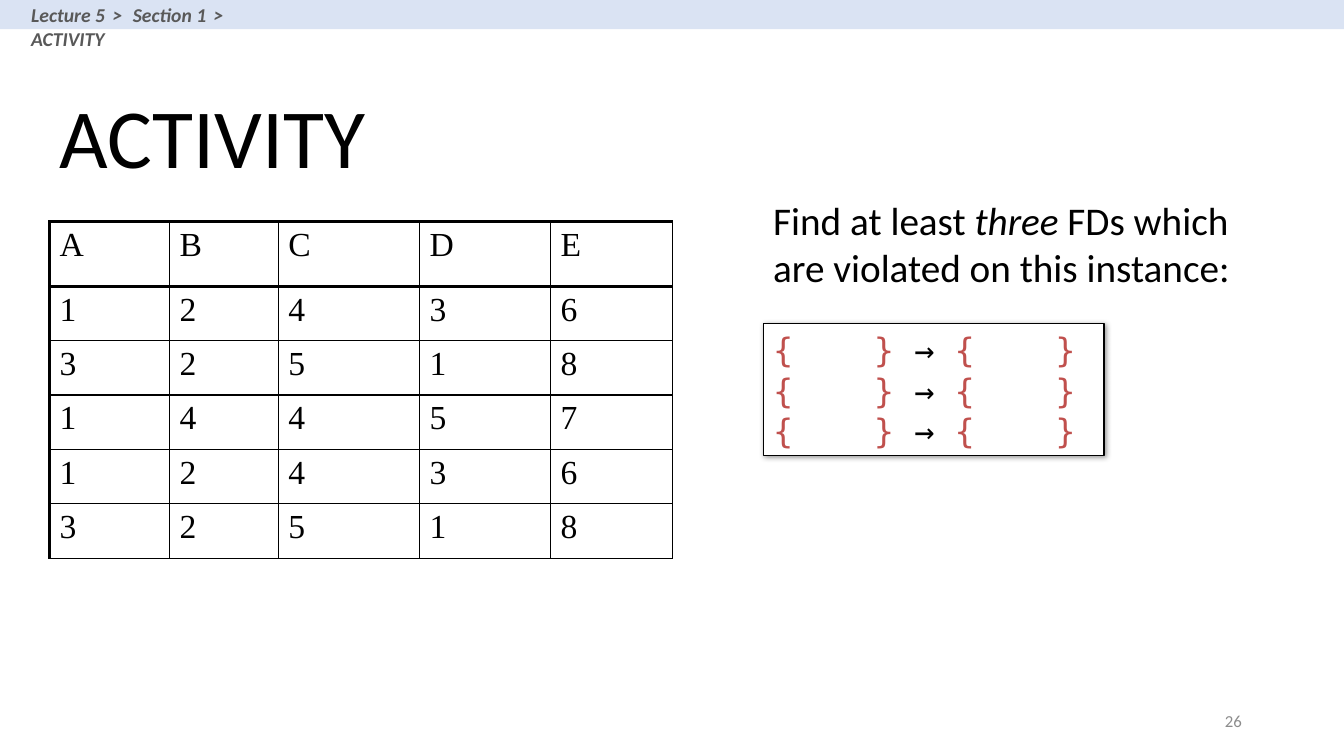
from dataclasses import dataclass

from lxml import etree
from pptx import Presentation
from pptx.dml.color import RGBColor
from pptx.enum.shapes import MSO_SHAPE
from pptx.enum.text import MSO_ANCHOR, PP_ALIGN
from pptx.oxml import parse_xml
from pptx.oxml.ns import nsdecls, qn
from pptx.util import Emu, Inches, Pt


@dataclass(frozen=True)
class Theme:
    body_font: str = "Calibri"
    table_font: str = "Times New Roman"
    code_font: str = "DejaVu Sans Mono"
    ink: str = "000000"
    paper: str = "FFFFFF"
    band: str = "DAE3F3"
    crumb: str = "595959"
    muted: str = "8C8C8C"
    brace: str = "C0504D"
    title_size: float = 60
    prompt_size: float = 28
    grid_size: float = 24
    crumb_size: float = 14
    number_size: float = 12
    heavy_line: float = 2.25
    thin_line: float = 1
    frame_line: float = 0.75


@dataclass(frozen=True)
class Box:
    left: float
    top: float
    width: float
    height: float


@dataclass(frozen=True)
class Style:
    size: float
    color: str = "000000"
    font: str = "Calibri"
    bold: bool = False
    italic: bool = False
    tracking: float = 0


THEME = Theme()
SLIDE_WIDTH, SLIDE_HEIGHT = Inches(13.33), Inches(7.5)

TITLE = Box(3.68, 10.27, 86.25, 15.07)
NUMBER = Box(70.65, 92.67, 22.5, 5.33)
BAND = Box(0, 0, 100, 3.87)
BREADCRUMB = Box(1.58, -0.27, 19.5, 4.53)
INSTANCE = Box(3.68, 29.33, 46.36, 44.53)
PROMPT = Box(56.79, 25.33, 37.96, 13.87)
ANSWERS = Box(56.79, 42.8, 25.36, 17.47)

COLUMN_SHARES = (8.93, 8.1, 10.5, 9.75, 9.08)
ROW_SHARES = (8.53,) + (7.2,) * 5
INSTANCE_ROWS = ("ABCDE", "12436", "32518", "14457", "12436", "32518")
ANSWER_COUNT = 3
CODE_ADVANCE = Inches(0.2)
TAB_COLUMNS = (5, 9, 14)


def across(share: float) -> Emu:
    return Emu(round(SLIDE_WIDTH * share / 100))


def down(share: float) -> Emu:
    return Emu(round(SLIDE_HEIGHT * share / 100))


def place(box: Box) -> tuple:
    return across(box.left), down(box.top), across(box.width), down(box.height)


def add_run(paragraph, text: str, style: Style) -> None:
    run = paragraph.add_run()
    run.text = text
    font = run.font
    font.name, font.size = style.font, Pt(style.size)
    font.bold, font.italic = style.bold, style.italic
    font.color.rgb = RGBColor.from_string(style.color)
    if style.tracking:
        run._r.get_or_add_rPr().set("spc", str(round(style.tracking * 100)))


def add_text(slide, box: Box, runs: list, anchor=MSO_ANCHOR.TOP, align=PP_ALIGN.LEFT):
    frame = slide.shapes.add_textbox(*place(box)).text_frame
    frame.word_wrap = True
    frame.vertical_anchor = anchor
    paragraph = frame.paragraphs[0]
    paragraph.alignment = align
    for text, style in runs:
        add_run(paragraph, text, style)
    return paragraph


def add_rectangle(slide, box: Box, fill: str):
    shape = slide.shapes.add_shape(MSO_SHAPE.RECTANGLE, *place(box))
    shape.shadow.inherit = False
    shape.fill.solid()
    shape.fill.fore_color.rgb = RGBColor.from_string(fill)
    shape.line.fill.background()
    return shape


def set_border(cell, side: str, width: float) -> None:
    cell._tc.get_or_add_tcPr().append(parse_xml(
        f'<a:ln{side} {nsdecls("a")} w="{Pt(width)}"><a:solidFill>'
        f'<a:srgbClr val="{THEME.ink}"/></a:solidFill></a:ln{side}>'))


def add_instance(slide) -> None:
    table = slide.shapes.add_table(
        len(ROW_SHARES), len(COLUMN_SHARES), *place(INSTANCE)).table
    table.first_row = table.horz_banding = False
    for column, share in zip(table.columns, COLUMN_SHARES):
        column.width = across(share)
    for row, share in zip(table.rows, ROW_SHARES):
        row.height = down(share)
    style = Style(THEME.grid_size, THEME.ink, THEME.table_font)
    for r, values in enumerate(INSTANCE_ROWS):
        for c, value in enumerate(values):
            cell = table.cell(r, c)
            add_run(cell.text_frame.paragraphs[0], value, style)
            heavy = {"L": c == 0, "R": False, "T": r <= 1, "B": r == 0}
            for side, is_heavy in heavy.items():
                set_border(cell, side, THEME.heavy_line if is_heavy else THEME.thin_line)
            cell.fill.background()


def add_shadow(shape) -> None:
    effects = shape._element.spPr.find(qn("a:effectLst"))
    effects.append(parse_xml(
        f'<a:outerShdw {nsdecls("a")} blurRad="{Pt(4)}" dist="{Pt(1)}" dir="2700000" '
        f'algn="tl" rotWithShape="0"><a:srgbClr val="{THEME.ink}">'
        '<a:alpha val="40000"/></a:srgbClr></a:outerShdw>'))


def add_answers(slide) -> None:
    shape = add_rectangle(slide, ANSWERS, THEME.paper)
    shape.line.color.rgb = RGBColor.from_string(THEME.ink)
    shape.line.width = Pt(THEME.frame_line)
    add_shadow(shape)
    frame = shape.text_frame
    frame.word_wrap = True
    frame.vertical_anchor = MSO_ANCHOR.MIDDLE
    brace = Style(THEME.grid_size, THEME.brace, THEME.code_font)
    arrow = Style(THEME.grid_size, THEME.ink, THEME.code_font)
    for index in range(ANSWER_COUNT):
        paragraph = frame.add_paragraph() if index else frame.paragraphs[0]
        paragraph.alignment = PP_ALIGN.LEFT
        tabs = etree.SubElement(paragraph._p.get_or_add_pPr(), qn("a:tabLst"))
        for column in TAB_COLUMNS:
            etree.SubElement(tabs, qn("a:tab"), pos=str(column * CODE_ADVANCE), algn="l")
        for text, style in (("{\t} ", brace), ("→\t", arrow), ("{\t}", brace)):
            add_run(paragraph, text, style)


def add_breadcrumb(slide) -> None:
    word = Style(THEME.crumb_size, THEME.crumb, THEME.body_font, True, True)
    mark = Style(THEME.crumb_size, THEME.crumb, THEME.body_font, True, True, 2.1)
    add_text(slide, BREADCRUMB, [
        ("Lecture 5", word), (" > ", mark), ("Section 1", word), (" > ", mark),
        ("ACTIVITY", word)])


def main() -> None:
    presentation = Presentation()
    presentation.slide_width, presentation.slide_height = SLIDE_WIDTH, SLIDE_HEIGHT
    slide = presentation.slides.add_slide(presentation.slide_layouts[6])
    title = add_text(slide, TITLE, [("ACTIVITY", Style(THEME.title_size))], MSO_ANCHOR.BOTTOM)
    title.line_spacing = 0.9
    add_text(slide, NUMBER, [("26", Style(THEME.number_size, THEME.muted))],
             MSO_ANCHOR.MIDDLE, PP_ALIGN.RIGHT)
    add_rectangle(slide, BAND, THEME.band)
    add_breadcrumb(slide)
    add_instance(slide)
    plain = Style(THEME.prompt_size)
    add_text(slide, PROMPT, [
        ("Find at least ", plain), ("three", Style(THEME.prompt_size, italic=True)),
        (" FDs which are violated on this instance:", plain)])
    add_answers(slide)
    presentation.save("out.pptx")


main()
